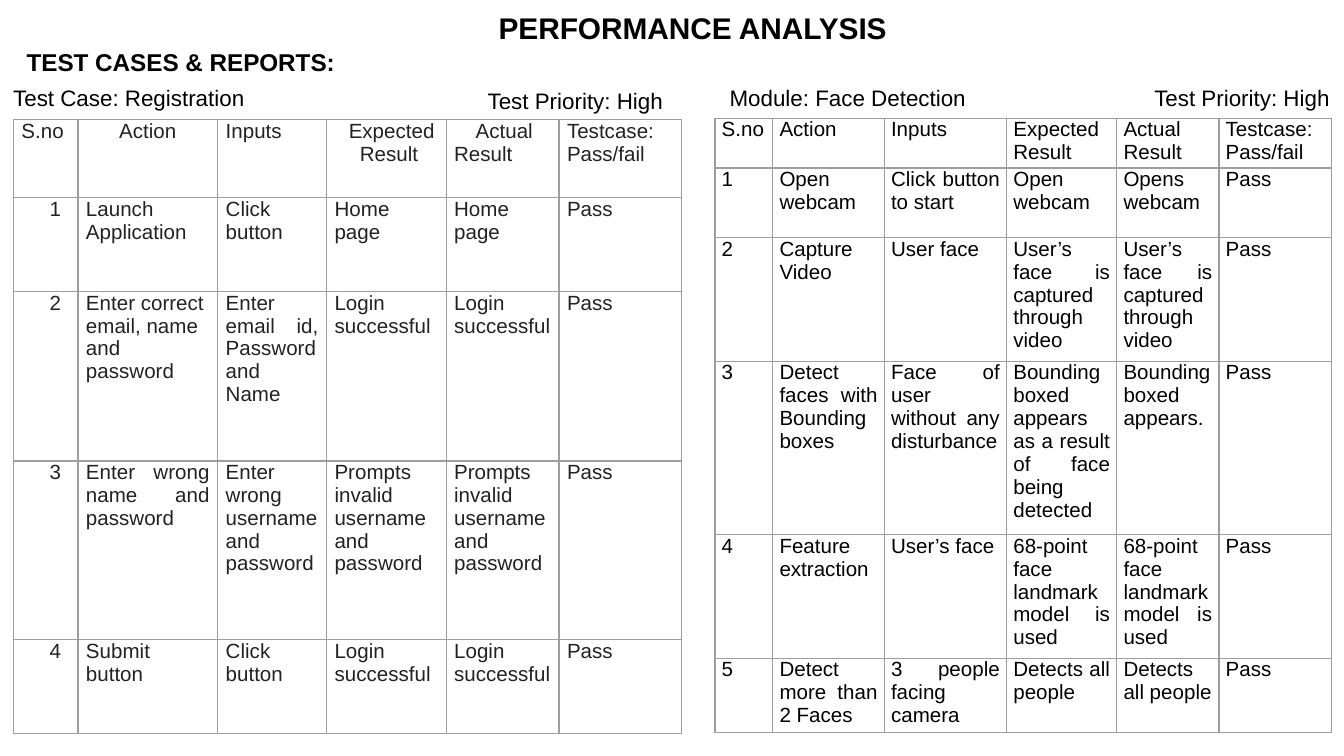
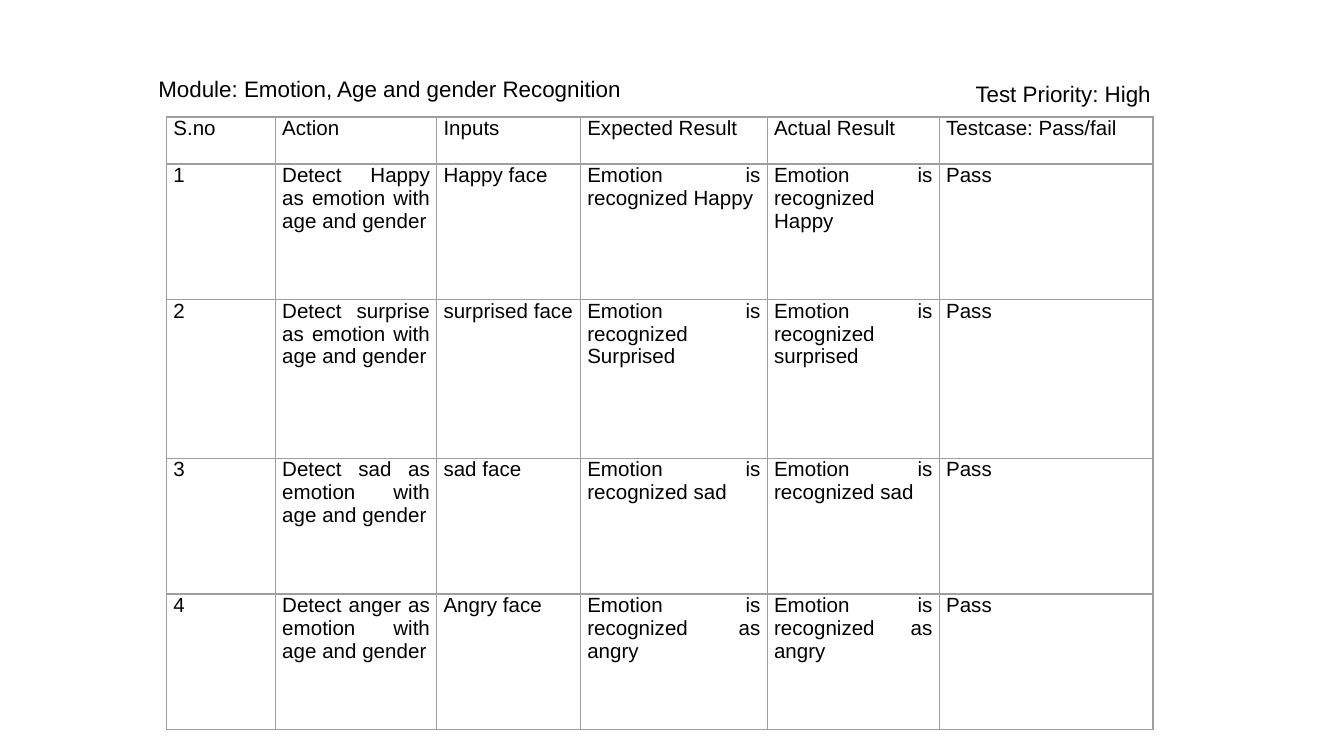
from dataclasses import dataclass
from typing import NamedTuple

from lxml.etree import SubElement
from pptx import Presentation
from pptx.dml.color import RGBColor
from pptx.enum.text import MSO_ANCHOR as Anchor, MSO_AUTO_SIZE as AutoSize, PP_ALIGN as Align
from pptx.oxml.ns import qn
from pptx.util import Inches, Pt

FONT = "Arial"
COLORS = {"black": "000000", "charcoal": "222222", "border": "9E9E9E"}
TITLE_ONLY, BLANK = 5, 6
PRIORITY = "Test Priority: High"


class Line(NamedTuple):
    text: str
    align: Align = Align.JUSTIFY
    indent: float = 0


class Label(NamedTuple):
    text: str
    left: float
    top: float
    width: float
    height: float = 0.3
    size: float = 12
    bold: bool = False
    spacing: float = 1


@dataclass
class TestTable:
    """Each case lists action, inputs, expected and actual result."""
    left: float
    top: float
    columns: list[float]
    row_heights: list[float]
    header: list[list[Line]]
    cases: list[tuple[str, str, str, str]]
    color: str = "black"
    inset: float = 0.05
    number_indent: float = 0

    def rows(self) -> list[list[list[Line]]]:
        body = []
        for number, case in enumerate(self.cases, 1):
            cells = [lines(text) for text in (*case, "Pass")]
            body.append([[Line(str(number), indent=self.number_indent)], *cells])
        return [self.header, *body]


def lines(text: str) -> list[Line]:
    return [Line(part) for part in text.split("\n")]


def add_span(para, text: str, size: float, color: str, bold: bool = False) -> None:
    span = para.add_run()
    span.text = text
    span.font.name = FONT
    span.font.size = Pt(size)
    span.font.bold = bold
    span.font.color.rgb = RGBColor.from_string(COLORS[color])


def fill_label(box, label: Label) -> None:
    box.left, box.top = Inches(label.left), Inches(label.top)
    box.width, box.height = Inches(label.width), Inches(label.height)
    frame = box.text_frame
    frame.word_wrap = True
    frame.auto_size = AutoSize.NONE
    frame.vertical_anchor = Anchor.TOP
    para = frame.paragraphs[0]
    para.alignment = Align.LEFT
    para.line_spacing = label.spacing
    add_span(para, label.text, label.size, "black", label.bold)


def add_labels(page, labels: list[Label]) -> None:
    for label in labels:
        fill_label(page.shapes.add_textbox(0, 0, 0, 0), label)


def add_borders(cell) -> None:
    properties = cell._tc.get_or_add_tcPr()
    for position, side in enumerate(("lnL", "lnR", "lnT", "lnB")):
        edge = SubElement(properties, qn(f"a:{side}"), w=str(Pt(0.75)))
        solid = SubElement(edge, qn("a:solidFill"))
        SubElement(solid, qn("a:srgbClr"), val=COLORS["border"])
        properties.insert(position, edge)


def fill_cell(cell, content: list[Line], table: TestTable) -> None:
    cell.margin_left = cell.margin_right = Inches(table.inset)
    cell.margin_top = cell.margin_bottom = 0
    cell.fill.background()
    add_borders(cell)
    for index, line in enumerate(content):
        frame = cell.text_frame
        para = frame.add_paragraph() if index else frame.paragraphs[0]
        para.alignment = line.align
        if line.indent:
            para._p.get_or_add_pPr().set("marL", str(Inches(line.indent)))
        add_span(para, line.text, 11, table.color)


def add_test_table(page, table: TestTable) -> None:
    rows = table.rows()
    grid = page.shapes.add_table(
        len(rows), len(table.columns), Inches(table.left), Inches(table.top),
        Inches(sum(table.columns)), Inches(sum(table.row_heights))).table
    grid.first_row = grid.horz_banding = False
    for column, width in zip(grid.columns, table.columns):
        column.width = Inches(width)
    for row, height, contents in zip(grid.rows, table.row_heights, rows):
        row.height = Inches(height)
        for cell, content in zip(row.cells, contents):
            fill_cell(cell, content, table)


STACKED_HEADER = [lines(text) for text in (
    "S.no", "Action", "Inputs", "Expected\nResult", "Actual\nResult", "Testcase:\nPass/fail")]
FLAT_HEADER = [lines(text) for text in (
    "S.no", "Action", "Inputs", "Expected Result", "Actual Result", "Testcase: Pass/fail")]
REGISTRATION_HEADER = [
    lines("S.no"),
    [Line("Action", Align.CENTER)],
    lines("Inputs"),
    [Line("Expected", Align.CENTER, 0.08), Line("Result", Align.CENTER, 0.04)],
    [Line("Actual", indent=0.16), Line("Result")],
    lines("Testcase:\nPass/fail"),
]

REGISTRATION = TestTable(
    0.1, 0.89, [0.48, 1.04, 0.81, 0.89, 0.84, 0.91], [0.58, 0.7, 1.26, 1.33, 0.7],
    REGISTRATION_HEADER,
    [
        ("Launch Application", "Click button", "Home page", "Home page"),
        ("Enter correct\nemail, name\nand password", "Enter email id, Password and Name",
         "Login successful", "Login successful"),
        ("Enter wrong name and password", "Enter wrong username and password",
         "Prompts invalid username and password", "Prompts invalid username and password"),
        ("Submit button", "Click button", "Login successful", "Login successful"),
    ],
    color="charcoal", inset=0.06, number_indent=0.21)

FACE_DETECTION = TestTable(
    5.32, 0.88, [0.43, 0.83, 0.91, 0.82, 0.76, 0.84], [0.37, 0.52, 0.92, 1.29, 0.92, 0.55],
    STACKED_HEADER,
    [
        ("Open webcam", "Click button to start", "Open webcam", "Opens webcam"),
        ("Capture Video", "User face", "User’s face is captured through video",
         "User’s face is captured through video"),
        ("Detect faces with Bounding boxes", "Face of user without any disturbance",
         "Bounding boxed appears as a result of face being detected",
         "Bounding boxed appears."),
        ("Feature extraction", "User’s face", "68-point face landmark model is used",
         "68-point face landmark model is used"),
        ("Detect more than 2 Faces", "3 people facing camera", "Detects all people",
         "Detects all people"),
    ])

EMOTIONS = [
    ("Happy", "Happy face", "Happy", "Happy"),
    ("surprise", "surprised face", "Surprised", "surprised"),
    ("sad", "sad face", "sad", "sad"),
    ("anger", "Angry face", "as angry", "as angry"),
]
RECOGNITION = TestTable(
    1.24, 0.87, [0.81, 1.2, 1.07, 1.39, 1.28, 1.59], [0.35, 1.01, 1.18, 1.01, 1.01],
    FLAT_HEADER,
    [(f"Detect {emotion} as emotion with age and gender", face,
      f"Emotion is recognized {expected}", f"Emotion is recognized {actual}")
     for emotion, face, expected, actual in EMOTIONS])


def build_detection_page(deck) -> None:
    page = deck.slides.add_slide(deck.slide_layouts[TITLE_ONLY])
    fill_label(page.shapes.title,
               Label("PERFORMANCE ANALYSIS", 3.61, 0.02, 3.38, 0.37, size=16, bold=True))
    add_test_table(page, REGISTRATION)
    add_test_table(page, FACE_DETECTION)
    add_labels(page, [
        Label("TEST CASES & REPORTS:", 0.1, 0.19, 3.38, 0.39, size=13, bold=True, spacing=1.5),
        Label("Test Case: Registration", 0, 0.58, 2.6),
        Label(PRIORITY, 3.53, 0.6, 1.88),
        Label("Module: Face Detection", 5.33, 0.58, 2.25),
        Label(PRIORITY, 8.49, 0.58, 1.82),
    ])


def build_recognition_page(deck) -> None:
    page = deck.slides.add_slide(deck.slide_layouts[BLANK])
    add_test_table(page, RECOGNITION)
    add_labels(page, [
        Label("Module: Emotion, Age and gender Recognition", 1.08, 0.51, 4.27),
        Label(PRIORITY, 7.16, 0.55, 1.81),
    ])


def main() -> None:
    deck = Presentation()
    deck.slide_width = Inches(10)
    deck.slide_height = deck.slide_width * 9 // 16
    build_detection_page(deck)
    build_recognition_page(deck)
    deck.save("out.pptx")


if __name__ == "__main__":
    main()
